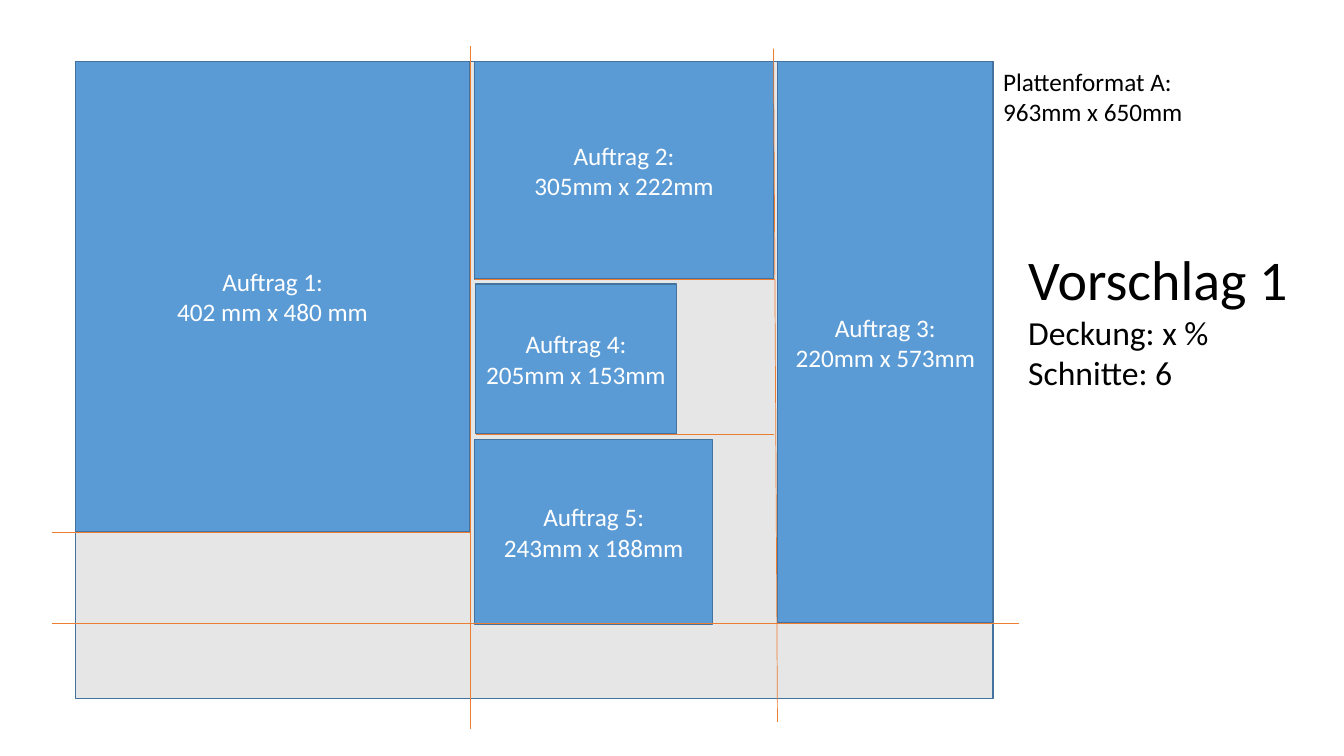
"""Build a cutting plan slide: five print jobs placed on one plate, with cut lines."""
from lxml.etree import SubElement
from pptx import Presentation
from pptx.dml.color import RGBColor
from pptx.enum.shapes import MSO_CONNECTOR, MSO_SHAPE
from pptx.enum.text import MSO_ANCHOR, MSO_AUTO_SIZE, PP_ALIGN
from pptx.oxml.ns import qn
from pptx.util import Inches, Pt

INCHES_PER_MM = 7 / 720
PLATE_LEFT, PLATE_TOP = 0.75, 0.61
PLATE_SIZE = (936, 650)

JOBS = [
    (0, 0, 402, 480, "402 mm x 480 mm"),
    (407, 0, 305, 222, "305mm x 222mm"),
    (716, 0, 220, 573, "220mm x 573mm"),
    (408, 227, 205, 153, "205mm x 153mm"),
    (407, 386, 243, 188, "243mm x 188mm"),
]
CUTS = [
    (962, 573, -24, 573),
    (712, -13, 716, 674),
    (403, -16, 403, 681),
    (407, 222, 714, 222),
    (408, 380, 712, 380),
    (-24, 481, 402, 481),
]


def color(hex_value):
    """Turn a hex string into a colour."""
    return RGBColor.from_string(hex_value)


def length(millimetres):
    """Scale plate millimetres to a slide length."""
    return Inches(millimetres * INCHES_PER_MM)


def point(x, y):
    """Place a plate coordinate on the slide."""
    return Inches(PLATE_LEFT) + length(x), Inches(PLATE_TOP) + length(y)


def write_lines(text_frame, lines, text_color, alignment):
    """Write one paragraph for each (text, size) pair."""
    for index, (text, size) in enumerate(lines):
        paragraph = text_frame.paragraphs[0] if index == 0 else text_frame.add_paragraph()
        paragraph.alignment = alignment
        run = paragraph.add_run()
        run.text = text
        run.font.name = "Calibri"
        run.font.size = Pt(size)
        run.font.color.rgb = color(text_color)


def add_panel(slide, x, y, width, height, fill, lines=()):
    """Add an outlined rectangle measured in plate millimetres."""
    shape = slide.shapes.add_shape(
        MSO_SHAPE.RECTANGLE, *point(x, y), length(width), length(height))
    shape.shadow.inherit = False
    shape.fill.solid()
    shape.fill.fore_color.rgb = color(fill)
    shape.line.color.rgb = color("43739E")
    shape.line.width = Pt(1)
    shape.text_frame.word_wrap = True
    shape.text_frame.vertical_anchor = MSO_ANCHOR.MIDDLE
    write_lines(shape.text_frame, lines, "FFFFFF", PP_ALIGN.CENTER)


def add_label(slide, left, top, width, height, lines):
    """Add a free text label measured in inches."""
    box = slide.shapes.add_textbox(*map(Inches, (left, top, width, height)))
    box.text_frame.word_wrap = False
    box.text_frame.auto_size = MSO_AUTO_SIZE.SHAPE_TO_FIT_TEXT
    write_lines(box.text_frame, lines, "000000", PP_ALIGN.LEFT)


def add_cut(slide, start_x, start_y, end_x, end_y):
    """Add a cut line between two plate coordinates."""
    cut = slide.shapes.add_connector(
        MSO_CONNECTOR.STRAIGHT, *point(start_x, start_y), *point(end_x, end_y))
    cut.line.color.rgb = color("ED7D31")
    cut.line.width = Pt(0.5)
    SubElement(cut._element.spPr, qn("a:effectLst"))


def main():
    """Build and save the slide."""
    presentation = Presentation()
    presentation.slide_width = Inches(13.33)
    presentation.slide_height = Inches(7.5)
    slide = presentation.slides.add_slide(presentation.slide_layouts[6])

    add_panel(slide, 0, 0, *PLATE_SIZE, "E7E6E6")
    add_label(slide, 9.85, PLATE_TOP, 2, 0.71,
              [("Plattenformat A:", 18), ("963mm x 650mm", 18)])
    for number, (x, y, width, height, dimensions) in enumerate(JOBS, start=1):
        add_panel(slide, x, y, width, height, "5B9BD5",
                  [(f"Auftrag {number}:", 18), (dimensions, 18)])
    add_label(slide, 10.1, 2.38, 2.8, 1.58,
              [("Vorschlag 1", 40), ("Deckung: x %", 24), ("Schnitte: 6", 24)])
    for cut in CUTS:
        add_cut(slide, *cut)

    presentation.save("out.pptx")


if __name__ == "__main__":
    main()
